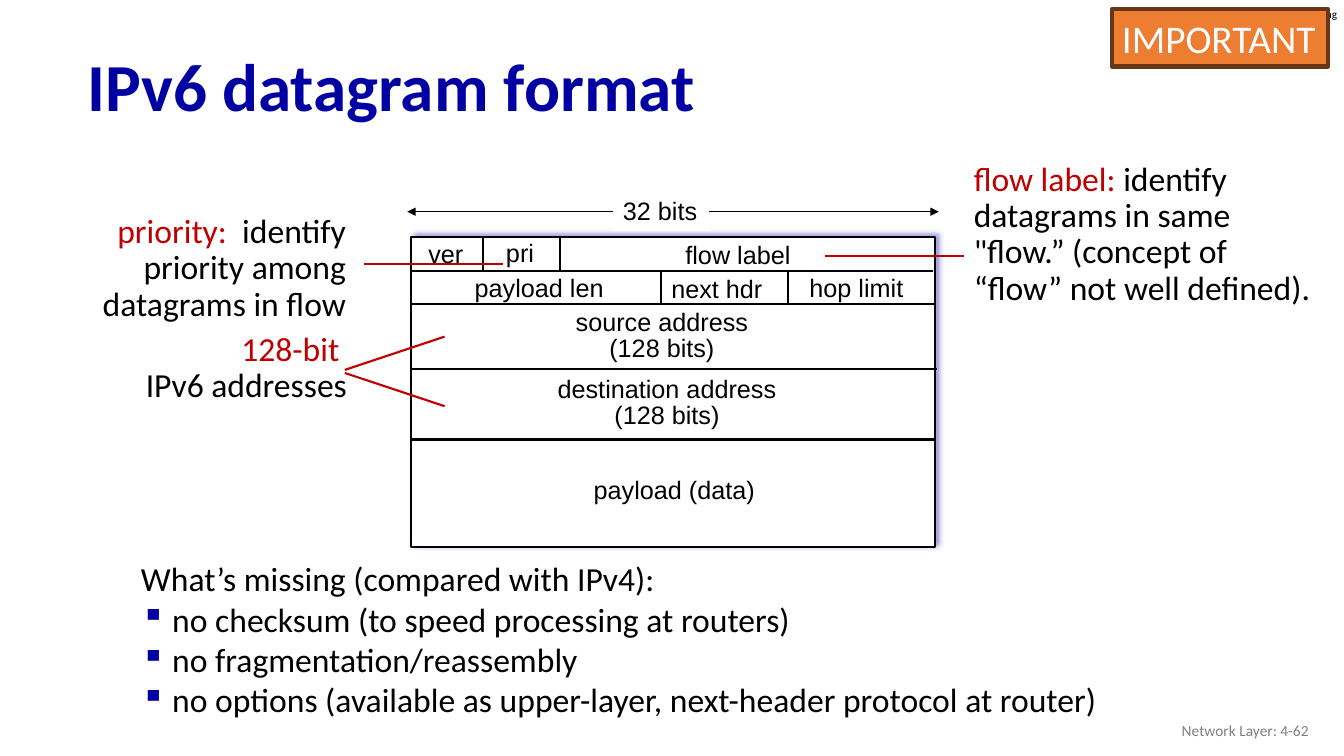
from dataclasses import dataclass

from lxml import etree
from pptx import Presentation
from pptx.dml.color import RGBColor
from pptx.enum.shapes import MSO_CONNECTOR as Connector, MSO_SHAPE as Shape
from pptx.enum.text import MSO_ANCHOR as Anchor, MSO_AUTO_SIZE as AutoSize, PP_ALIGN as Align
from pptx.oxml import parse_xml
from pptx.oxml.ns import nsdecls, qn
from pptx.util import Inches, Pt


@dataclass(frozen=True)
class Theme:
    navy: str = "0000A3"
    red: str = "C00000"
    black: str = "000000"
    white: str = "FFFFFF"
    grey: str = "808080"
    orange: str = "ED7D31"
    brown: str = "683715"
    body_font: str = "Calibri"
    field_font: str = "Arial"
    title_size: int = 48
    badge_size: int = 28
    note_size: int = 24
    field_size: int = 18
    footer_size: int = 11
    label_size: int = 8


theme = Theme()

# Content: boxes are (left, top, width, height) in inches
TITLE = "IPv6 datagram format"
SHARING = "Begränsad delning"
BADGE = "IMPORTANT"
FOOTER = "Network Layer: 4-62"
WIDTH_LABEL = "32 bits"
FIELDS = [
    ("ver", (4.15, 2.32, 0.55, 0.4)),
    ("pri", (4.92, 2.31, 0.48, 0.4)),
    ("flow label", (6.7, 2.33, 1.24, 0.4)),
    ("payload len", (4.61, 2.65, 1.48, 0.4)),
    ("next hdr", (6.56, 2.66, 1.1, 0.4)),
    ("hop limit", (7.93, 2.65, 1.13, 0.4)),
    (" payload (data)", (5.72, 4.66, 1.88, 0.4)),
]
ADDRESSES = [
    (["source address", "(128 bits)"], (5.61, 3.04, 1.91, 0.61)),
    (["destination address", "(128 bits)"], (5.43, 3.7, 2.37, 0.61)),
]
NOTES = [
    ([[("priority:  ", theme.red), ("identify priority among datagrams in flow", theme.black)]],
     (0.17, 2.08, 3.36, 1.19), Align.RIGHT),
    ([[("flow label: ", theme.red),
       ("identify datagrams in same \"flow.” (concept of “flow” not well defined).", theme.black)]],
     (9.56, 1.56, 3.54, 1.56), Align.LEFT),
    ([[("128-bit ", theme.red)], [("IPv6 addresses", theme.black)]],
     (0, 3.25, 3.54, 0.83), Align.RIGHT),
]
POINTERS = [
    ((3.61, 2.62), (4.99, 2.62)),
    ((8.18, 2.54), (9.56, 2.54)),
    ((3.42, 3.7), (4.41, 4.03)),
    ((3.42, 3.67), (4.41, 3.34)),
]
MISSING = [
    "What’s missing (compared with IPv4):",
    "no checksum (to speed processing at routers)",
    "no fragmentation/reassembly",
    "no options (available as upper-layer, next-header protocol at router)",
]

# Datagram geometry
DATAGRAM = (4.08, 2.35, 5.19, 3.08)
ROW_LINES = [(4.08, 9.25, 2.69), (4.07, 9.28, 3.02), (4.09, 9.29, 3.66), (4.07, 9.28, 4.36)]
COLUMN_LINES = [(4.79, 2.36, 2.69), (5.55, 2.36, 2.68), (6.56, 2.69, 3.01), (7.82, 2.69, 3.01)]

deck = Presentation()
deck.slide_width, deck.slide_height = Inches(13.33), Inches(7.5)
page = deck.slides.add_slide(deck.slide_layouts[5])


def rgb(color):
    return RGBColor.from_string(color)


def add_bullet(para):
    properties = para._p.get_or_add_pPr()
    properties.set("marL", str(Inches(0.31)))
    properties.set("indent", str(-Inches(0.31)))
    color = etree.SubElement(properties, qn("a:buClr"))
    etree.SubElement(color, qn("a:srgbClr")).set("val", theme.navy)
    etree.SubElement(properties, qn("a:buChar")).set("char", "▪")


def write(box, paragraphs, *, size, font=theme.body_font, color=theme.black, bold=False,
          align=Align.LEFT, spacing=None, anchor=Anchor.TOP, wrap=True, grow=True,
          margin=None, bullets_from=None):
    """Fill a box; a paragraph is a string or a list of (text, color) spans."""
    frame = box.text_frame
    frame.word_wrap = wrap
    frame.auto_size = AutoSize.SHAPE_TO_FIT_TEXT if grow else AutoSize.NONE
    frame.vertical_anchor = anchor
    if margin is not None:
        frame.margin_left = frame.margin_right = Inches(margin)
        frame.margin_top = frame.margin_bottom = Inches(margin)
    for index, content in enumerate(paragraphs):
        para = frame.paragraphs[0] if index == 0 else frame.add_paragraph()
        if bullets_from is not None and index >= bullets_from:
            add_bullet(para)
        para.alignment = align
        if spacing:
            para.line_spacing = spacing
        spans = [(content, color)] if isinstance(content, str) else content
        for text, span_color in spans:
            span = para.add_run()
            span.text = text
            span.font.name, span.font.size, span.font.bold = font, Pt(size), bold
            span.font.color.rgb = rgb(span_color)


def add_text(place, paragraphs, **style):
    write(page.shapes.add_textbox(*map(Inches, place)), paragraphs, **style)


def add_rectangle(place, fill, line=None, width=1.5):
    box = page.shapes.add_shape(Shape.RECTANGLE, *map(Inches, place))
    box.shadow.inherit = False
    box.fill.solid()
    box.fill.fore_color.rgb = rgb(fill)
    if line:
        box.line.color.rgb, box.line.width = rgb(line), Pt(width)
    else:
        box.line.fill.background()
    return box


def add_line(start, end, color=theme.black, width=1.5, arrows=False):
    line = page.shapes.add_connector(Connector.STRAIGHT, *map(Inches, (*start, *end)))
    line.line.color.rgb, line.line.width = rgb(color), Pt(width)
    if arrows:
        for tag in ("a:headEnd", "a:tailEnd"):
            etree.SubElement(line.line._get_or_add_ln(), qn(tag)).set("type", "triangle")
    etree.SubElement(line._element.spPr, qn("a:effectLst"))


# Sharing label and title
add_text((12.43, 0.07, 0.86, 0.13), [SHARING], size=theme.label_size, margin=0)
title = page.shapes.title
title.left, title.top, title.width, title.height = map(Inches, (0.77, 0.31, 11.5, 1.17))
write(title, [TITLE], size=theme.title_size, color=theme.navy, bold=True, spacing=0.9,
      anchor=Anchor.MIDDLE, grow=False)

# Datagram frame with its soft shadow
datagram = add_rectangle(DATAGRAM, theme.white, theme.black)
effects = datagram._element.spPr.find(qn("a:effectLst"))
effects.append(parse_xml(
    f'<a:outerShdw {nsdecls("a")} blurRad="{Pt(4)}" dist="{Pt(3)}" dir="{315 * 60000}" '
    f'algn="bl" rotWithShape="0"><a:srgbClr val="{theme.navy}"><a:alpha val="40000"/>'
    '</a:srgbClr></a:outerShdw>'))

# Field borders
for left, right, y in ROW_LINES:
    add_line((left, y), (right, y))
for x, top, bottom in COLUMN_LINES:
    add_line((x, top), (x, bottom))

# Field names
field_style = dict(size=theme.field_size, font=theme.field_font, wrap=False)
for name, place in FIELDS:
    add_text(place, [name], **field_style)
for lines, place in ADDRESSES:
    add_text(place, lines, align=Align.CENTER, spacing=0.85, **field_style)

# Width marker
add_line((4.04, 2.1), (9.31, 2.1), width=0.75, arrows=True)
write(add_rectangle((6.08, 1.89, 0.95, 0.4), theme.white), [WIDTH_LABEL], **field_style)

# Side notes and their pointers
for paragraphs, place, align in NOTES:
    add_text(place, paragraphs, size=theme.note_size, align=align, spacing=0.9)
for start, end in POINTERS:
    add_line(start, end, theme.red)

# Missing features, footer and badge
add_text((1.3, 5.49, 9.81, 1.72), MISSING, size=theme.note_size, bullets_from=1)
add_text((10.08, 7.05, 3, 0.4), [FOOTER], size=theme.footer_size, color=theme.grey,
         align=Align.RIGHT, anchor=Anchor.MIDDLE, grow=False)
badge = add_rectangle((11.03, 0.09, 2.14, 0.57), theme.orange, theme.brown, 3)
write(badge, [BADGE], size=theme.badge_size, color=theme.white, wrap=False)

deck.save("out.pptx")
